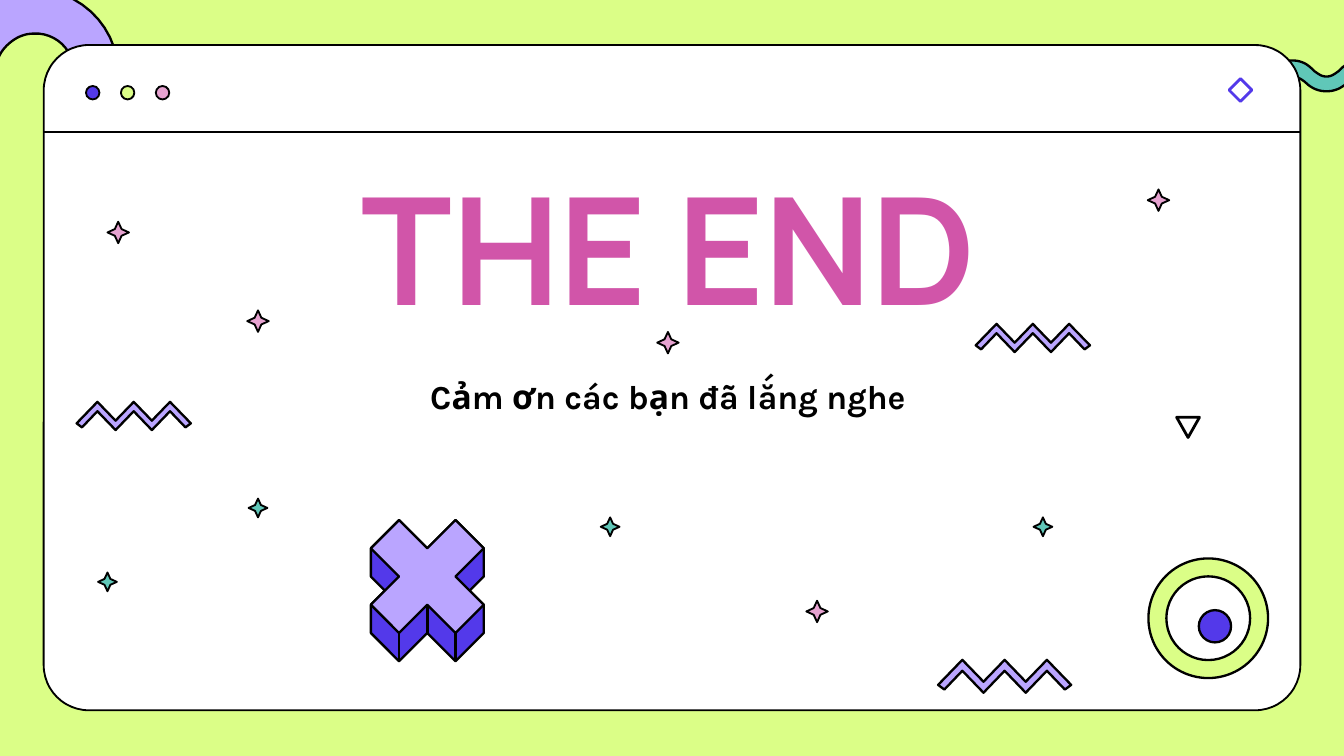
import dataclasses
import typing

import lxml.etree
import pptx
import pptx.dml.color
import pptx.enum.shapes
import pptx.enum.text
import pptx.oxml.ns
import pptx.util

Inches = pptx.util.Inches
Pt = pptx.util.Pt
RGBColor = pptx.dml.color.RGBColor
Kind = pptx.enum.shapes.MSO_SHAPE
Point = tuple[float, float]

LIME = RGBColor(0xDB, 0xFE, 0x87)
TEAL = RGBColor(0x60, 0xC7, 0xB8)
LILAC = RGBColor(0xBA, 0xA5, 0xFF)
VIOLET = RGBColor(0x53, 0x39, 0xEA)
PINK = RGBColor(0xE6, 0xA2, 0xD0)
ROSE = RGBColor(0xD1, 0x55, 0xA9)
WHITE = RGBColor(0xFF, 0xFF, 0xFF)
BLACK = RGBColor(0, 0, 0)


@dataclasses.dataclass
class Mark:
    """A preset shape placed by its centre."""
    kind: int
    x: float
    y: float
    w: float
    h: float
    fill: RGBColor
    line: RGBColor = BLACK
    weight: float = 1
    adjust: float | None = None


@dataclasses.dataclass
class Label:
    """A placeholder's place and format."""
    index: int
    box: tuple[float, float, float, float]
    text: str
    font: dict[str, typing.Any]
    color: RGBColor
    spacing: float


def paint(shape, fill: RGBColor, line: RGBColor, weight: float) -> None:
    shape.shadow.inherit = False
    shape.fill.solid()
    shape.fill.fore_color.rgb = fill
    shape.line.color.rgb = line
    shape.line.width = Pt(weight)


def draw_mark(slide, mark: Mark) -> None:
    shape = slide.shapes.add_shape(
        mark.kind, Inches(mark.x - mark.w / 2), Inches(mark.y - mark.h / 2),
        Inches(mark.w), Inches(mark.h))
    if mark.adjust is not None:
        shape.adjustments[0] = mark.adjust
    paint(shape, mark.fill, mark.line, mark.weight)


def draw_poly(slide, points: list[Point], fill: RGBColor) -> None:
    spots = [(Inches(x), Inches(y)) for x, y in points]
    pen = slide.shapes.build_freeform(*spots[0])
    pen.add_line_segments(spots[1:], close=True)
    paint(pen.convert_to_shape(), fill, BLACK, 1.25)


def draw_line(slide, start: Point, end: Point, weight: float) -> None:
    line = slide.shapes.add_connector(
        pptx.enum.shapes.MSO_CONNECTOR.STRAIGHT,
        *(Inches(v) for v in start + end))
    line.line.color.rgb = BLACK
    line.line.width = Pt(weight)
    props = line.element.spPr
    lxml.etree.SubElement(props, pptx.oxml.ns.qn("a:effectLst"))


def draw_label(slide, label: Label) -> None:
    holder = slide.placeholders[label.index]
    for name, value in zip(("left", "top", "width", "height"), label.box):
        setattr(holder, name, Inches(value))
    # Bring the text in front of the window
    holder.element.getparent().append(holder.element)
    frame = holder.text_frame
    frame.text = label.text
    frame.word_wrap = True
    frame.auto_size = pptx.enum.text.MSO_AUTO_SIZE.NONE
    frame.vertical_anchor = pptx.enum.text.MSO_ANCHOR.MIDDLE
    para = frame.paragraphs[0]
    para.alignment = pptx.enum.text.PP_ALIGN.CENTER
    para.line_spacing = label.spacing
    para.space_before = Pt(0)
    font = para.runs[0].font
    for name, value in label.font.items():
        setattr(font, name, value)
    font.color.rgb = label.color


def curve(knots: list[Point], steps: int = 12) -> list[Point]:
    """Points along joined cubic curves."""
    out = [knots[0]]
    for i in range(0, len(knots) - 1, 3):
        part = knots[i:i + 4]
        for n in range(1, steps + 1):
            t = n / steps
            s = 1 - t
            mix = (s ** 3, 3 * s * s * t, 3 * s * t * t, t ** 3)
            out.append((sum(m * p[0] for m, p in zip(mix, part)),
                        sum(m * p[1] for m, p in zip(mix, part))))
    return out


def wave_edge(half: list[Point], left: float, top: float) -> list[Point]:
    """Five half waves, each the mirror of the one before."""
    fall = curve(half)
    width = half[-1][0]
    rise = [(width - x, y) for x, y in reversed(fall)]
    return [(left + i * width + x, top + y)
            for i in range(5) for x, y in (rise if i % 2 else fall)]


def zigzag(left: float, top: float, width: float) -> list[Point]:
    ridge = [(0.155 + 0.135 * i, 0.14 * (i % 2)) for i in range(5)]
    under = [(x, y + 0.07) for x, y in reversed(ridge)]
    shape = [(0, 0.16), *ridge, (0.85, 0.16), (0.81, 0.19), *under, (0.04, 0.19)]
    scale = width / 0.85
    return [(left + x * scale, top + y * scale) for x, y in shape]


def block(x: float, y: float) -> Point:
    """Place a point of the cross on its grid."""
    return 3.18 + 0.21 * x, 4.29 + 0.21 * y


WAVE_TOP = [(0, 0), (0.09, 0), (0.13, 0.04), (0.17, 0.08),
            (0.2, 0.1), (0.22, 0.12), (0.26, 0.12)]
WAVE_LOW = [(0, 0), (0.05, 0), (0.07, 0.02), (0.1, 0.04),
            (0.13, 0.07), (0.18, 0.11), (0.26, 0.11)]
ARCH = [(-0.03, 0), (0.05, -0.05), (0.14, -0.07), (0.23, -0.08),
        (0.57, -0.09), (0.86, 0.17), (0.88, 0.52),
        (0.88, 0.61), (0.81, 0.68), (0.73, 0.69),
        (0.63, 0.69), (0.56, 0.62), (0.55, 0.53),
        (0.55, 0.37), (0.41, 0.24), (0.25, 0.25),
        (0.17, 0.25), (0.1, 0.29), (0.05, 0.34),
        (-0.01, 0.4), (-0.04, 0.48), (-0.03, 0.56),
        (-0.03, 0.65), (-0.1, 0.72), (-0.19, 0.73),
        (-0.28, 0.73), (-0.35, 0.66), (-0.36, 0.57),
        (-0.37, 0.32), (-0.23, 0.11), (-0.03, 0)]
CROSS = [(1, -2), (2, -1), (1, 0), (2, 1), (1, 2), (0, 1),
         (-1, 2), (-2, 1), (-1, 0), (-2, -1), (-1, -2), (0, -1)]
SIDES = [(1, -2), (2, -1), (2, 0), (1.5, 0.5), (2, 1), (2, 2), (1, 3), (0, 2),
         (-1, 3), (-2, 2), (-2, 1), (-1.5, 0.5), (-2, 0), (-2, -1), (-1, -2), (0, -1)]
STARS = {
    (PINK, 0.16): [(0.88, 1.73), (6.08, 4.55), (4.97, 2.55), (1.92, 2.39), (8.62, 1.49)],
    (TEAL, 0.14): [(0.8, 4.33), (1.92, 3.78), (7.76, 3.92), (4.54, 3.92)],
}
LABELS = [
    Label(0, (1.52, 1.41, 6.92, 1.01), "THE END",
          {"name": "Manrope", "size": Pt(80), "bold": True}, ROSE, 0.9),
    Label(1, (2.47, 2.34, 5, 1.22), "Cảm ơn các bạn đã lắng nghe",
          {"name": "Karla", "size": Pt(18), "bold": True}, BLACK, 1),
]


def main() -> None:
    deck = pptx.Presentation()
    deck.slide_width = Inches(10)
    deck.slide_height = Inches(10 * 9 / 16)
    slide = deck.slides.add_slide(deck.slide_layouts[0])
    slide.background.fill.solid()
    slide.background.fill.fore_color.rgb = LIME

    # Corner shapes behind the window
    low = wave_edge(WAVE_LOW, 9.09, 0.57)
    draw_poly(slide, wave_edge(WAVE_TOP, 9.09, 0.45) + low[::-1], TEAL)
    draw_poly(slide, curve(ARCH), LILAC)

    # Window and its bar
    draw_mark(slide, Mark(Kind.ROUNDED_RECTANGLE, 5, 2.81, 9.35, 4.95, WHITE, adjust=0.068))
    draw_line(slide, (0.33, 0.98), (9.67, 0.98), 1)

    # Title and thanks
    for label in LABELS:
        draw_label(slide, label)

    # Bar buttons
    for i, color in enumerate((VIOLET, LIME, PINK)):
        draw_mark(slide, Mark(Kind.OVAL, 0.69 + 0.26 * i, 0.69, 0.1, 0.1, color))
    draw_mark(slide, Mark(Kind.DIAMOND, 9.23, 0.67, 0.17, 0.17, WHITE, VIOLET, 1.5))

    # Stars, zigzags and triangle
    for (color, size), spots in STARS.items():
        for x, y in spots:
            draw_mark(slide, Mark(Kind.STAR_4_POINT, x, y, size, size, color, adjust=0.22))
    for left, top, width in ((0.57, 2.99, 0.85), (6.98, 4.91, 0.99), (7.26, 2.41, 0.85)):
        draw_poly(slide, zigzag(left, top, width), LILAC)
    draw_mark(slide, Mark(Kind.FLOWCHART_MERGE, 8.84, 3.18, 0.17, 0.15, WHITE, weight=1.5))

    # Ring and dot
    draw_mark(slide, Mark(Kind.DONUT, 8.99, 4.6, 0.89, 0.89, LIME, weight=1.25, adjust=0.15))
    draw_mark(slide, Mark(Kind.OVAL, 9.04, 4.66, 0.24, 0.24, VIOLET, weight=1.25))

    # Solid cross
    for points, color in ((SIDES, VIOLET), (CROSS, LILAC)):
        draw_poly(slide, [block(x, y) for x, y in points], color)
    for x, y in ((-1, 2), (0, 1), (1, 2)):
        draw_line(slide, block(x, y), block(x, y + 1), 1.25)

    deck.save("out.pptx")


if __name__ == "__main__":
    main()
